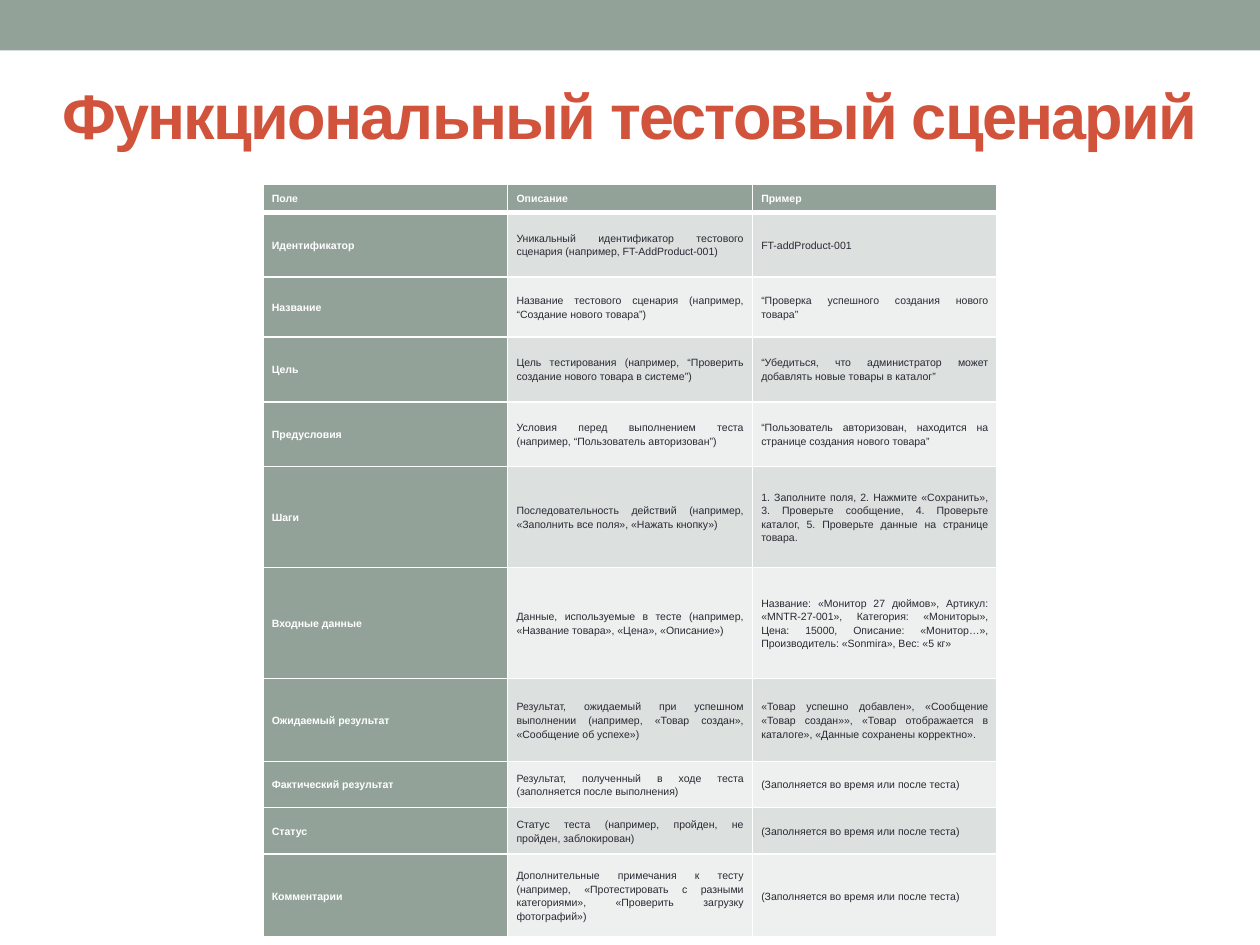
from lxml import etree
from pptx import Presentation
from pptx import util as u
from pptx.dml import color
from pptx.enum import shapes, text
from pptx.oxml import ns

COLORS = {
    "sage": "93A299",
    "title": "D2533C",
    "ink": "292934",
    "white": "FFFFFF",
    "odd_row": "DCE0DE",
    "even_row": "EEF0EF",
}
FONT = "Arial"
ROW_HEIGHTS = [0.56, 1.3, 1.21, 1.31, 1.3, 2.04, 2.24, 1.67, 0.93, 0.94, 1.67]
AFTER_TEST = "(Заполняется во время или после теста)"
ROWS = [
    ("Поле", "Описание", "Пример"),
    ("Идентификатор",
     "Уникальный идентификатор тестового сценария (например, FT-AddProduct-001)",
     "FT-addProduct-001"),
    ("Название",
     "Название тестового сценария (например, “Создание нового товара”)",
     "“Проверка успешного создания нового товара”"),
    ("Цель",
     "Цель тестирования (например, “Проверить создание нового товара в системе”)",
     "“Убедиться, что администратор может добавлять новые товары в каталог”"),
    ("Предусловия",
     "Условия перед выполнением теста (например, “Пользователь авторизован”)",
     "“Пользователь авторизован, находится на странице создания нового товара”"),
    ("Шаги",
     "Последовательность действий (например, «Заполнить все поля», «Нажать кнопку»)",
     "1. Заполните поля, 2. Нажмите «Сохранить», 3. Проверьте сообщение, "
     "4. Проверьте каталог, 5. Проверьте данные на странице товара."),
    ("Входные данные",
     "Данные, используемые в тесте (например, «Название товара», «Цена», «Описание»)",
     "Название: «Монитор 27 дюймов», Артикул: «MNTR-27-001», Категория: «Мониторы», "
     "Цена: 15000, Описание: «Монитор…», Производитель: «Sonmira», Вес: «5 кг»"),
    ("Ожидаемый результат",
     "Результат, ожидаемый при успешном выполнении (например, «Товар создан», "
     "«Сообщение об успехе»)",
     "«Товар успешно добавлен», «Сообщение «Товар создан»», «Товар отображается в "
     "каталоге», «Данные сохранены корректно»."),
    ("Фактический результат",
     "Результат, полученный в ходе теста (заполняется после выполнения)",
     AFTER_TEST),
    ("Статус",
     "Статус теста (например, пройден, не пройден, заблокирован)",
     AFTER_TEST),
    ("Комментарии",
     "Дополнительные примечания к тесту (например, «Протестировать с разными "
     "категориями», «Проверить загрузку фотографий»)",
     AFTER_TEST),
]


def rgb(name):
    """Return the named colour."""
    return color.RGBColor.from_string(COLORS[name])


def apply(target, formats):
    """Set each attribute of the target from a dict."""
    for name, value in formats.items():
        setattr(target, name, value)


def write(frame, content, size, color_name, bold, **paragraph_format):
    """Write one formatted paragraph and return its run."""
    paragraph = frame.paragraphs[0]
    apply(paragraph, paragraph_format)
    run = paragraph.add_run()
    run.text = content
    apply(run.font, {"name": FONT, "size": u.Pt(size), "bold": bold})
    run.font.color.rgb = rgb(color_name)
    return run


def add_band(slide, left, top, width, height):
    """Draw the plain band along the top edge."""
    band = slide.shapes.add_shape(
        shapes.MSO_SHAPE.RECTANGLE, left, top, width, height)
    band.shadow.inherit = False
    band.fill.solid()
    band.fill.fore_color.rgb = rgb("sage")
    band.line.fill.background()


def add_title(slide, left, top, width, height):
    """Place the centred slide title."""
    frame = slide.shapes.add_textbox(left, top, width, height).text_frame
    apply(frame, {"word_wrap": True, "vertical_anchor": text.MSO_ANCHOR.MIDDLE})
    run = write(frame, "Функциональный тестовый сценарий", 36, "title", True,
                alignment=text.PP_ALIGN.CENTER)
    run.font._element.set("spc", "-100")


def add_borders(cell, widths):
    """Draw white borders of the given point widths around a cell."""
    properties = cell._tc.get_or_add_tcPr()
    for side, width in widths.items():
        line = etree.SubElement(
            properties, ns.qn(f"a:ln{side}"), w=str(u.Pt(width)))
        fill = etree.SubElement(line, ns.qn("a:solidFill"))
        etree.SubElement(fill, ns.qn("a:srgbClr"), val=COLORS["white"])


def format_cell(cell, content, row, column):
    """Fill one cell according to its place in the table."""
    heading = row == 0 or column == 0
    band = "odd_row" if row % 2 else "even_row"
    add_borders(cell, {"L": 1, "R": 1, "T": 3 if row == 1 else 1,
                       "B": 3 if row == 0 else 1})
    cell.fill.solid()
    cell.fill.fore_color.rgb = rgb("sage" if heading else band)
    apply(cell, {
        "margin_left": u.Cm(0.18), "margin_right": u.Cm(0.18),
        "margin_top": u.Cm(0.08), "margin_bottom": u.Cm(0.08),
        "vertical_anchor": text.MSO_ANCHOR.MIDDLE,
    })
    write(cell.text_frame, content, 6, "white" if heading else "ink", heading,
          alignment=text.PP_ALIGN.JUSTIFY, line_spacing=1.15)


def add_scenario_table(slide, left, top, width):
    """Build the table of scenario fields with equal columns."""
    height = u.Cm(sum(ROW_HEIGHTS))
    table = slide.shapes.add_table(
        len(ROWS), len(ROWS[0]), left, top, width, height).table
    for column in table.columns:
        column.width = width // len(ROWS[0])
    for row, (contents, row_height) in enumerate(zip(ROWS, ROW_HEIGHTS)):
        table.rows[row].height = u.Cm(row_height)
        for column, content in enumerate(contents):
            format_cell(table.cell(row, column), content, row, column)


def main():
    """Build and save the presentation."""
    presentation = Presentation()
    apply(presentation, {"slide_width": u.Cm(25.4), "slide_height": u.Cm(19.05)})
    slide = presentation.slides.add_slide(presentation.slide_layouts[6])
    width = presentation.slide_width
    table_width = u.Cm(14.8)
    add_band(slide, 0, 0, width, u.Cm(1.02))
    add_title(slide, 0, u.Cm(1.48), width, u.Cm(1.65))
    add_scenario_table(slide, (width - table_width) // 2, u.Cm(3.72), table_width)
    presentation.save("out.pptx")


if __name__ == "__main__":
    main()
